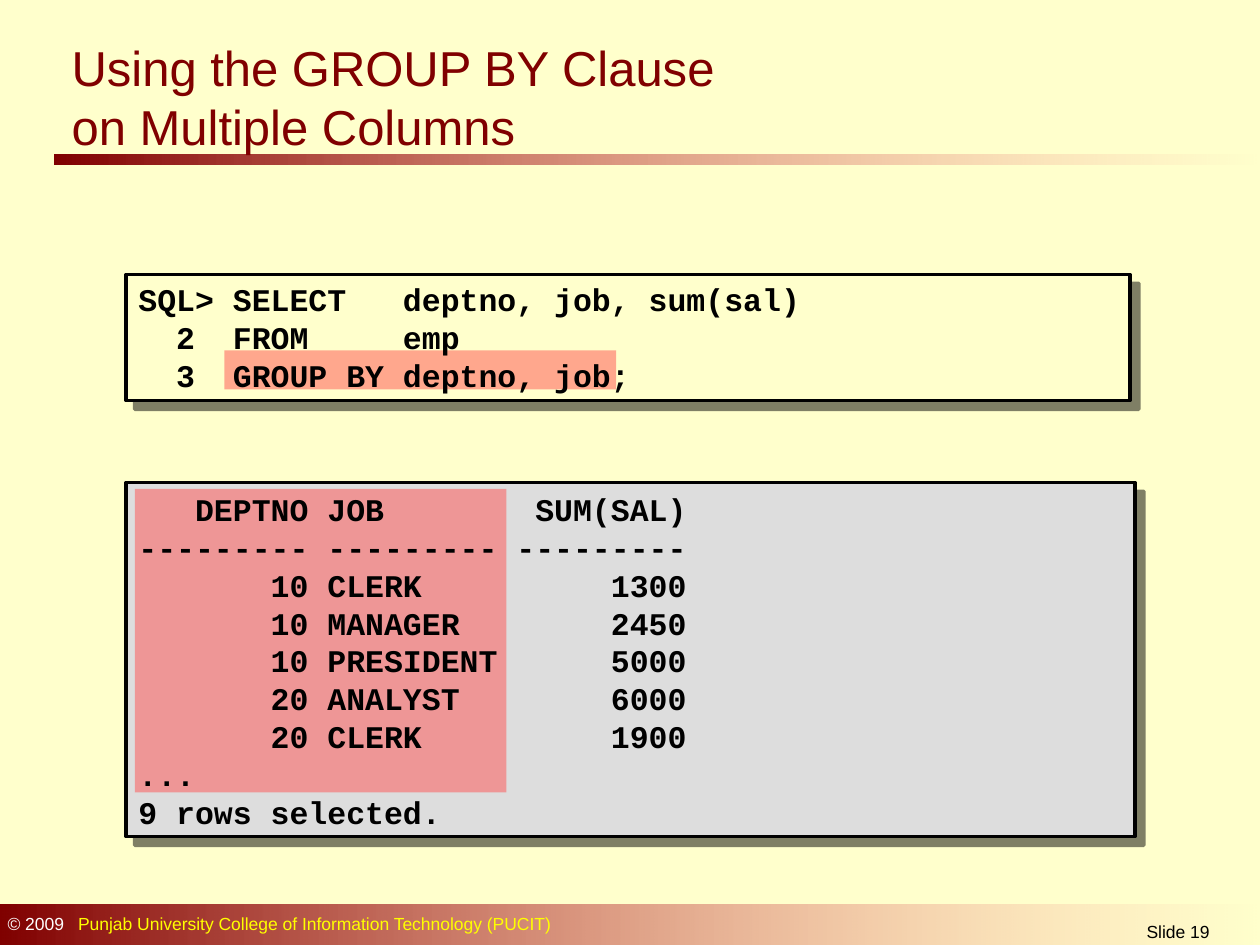
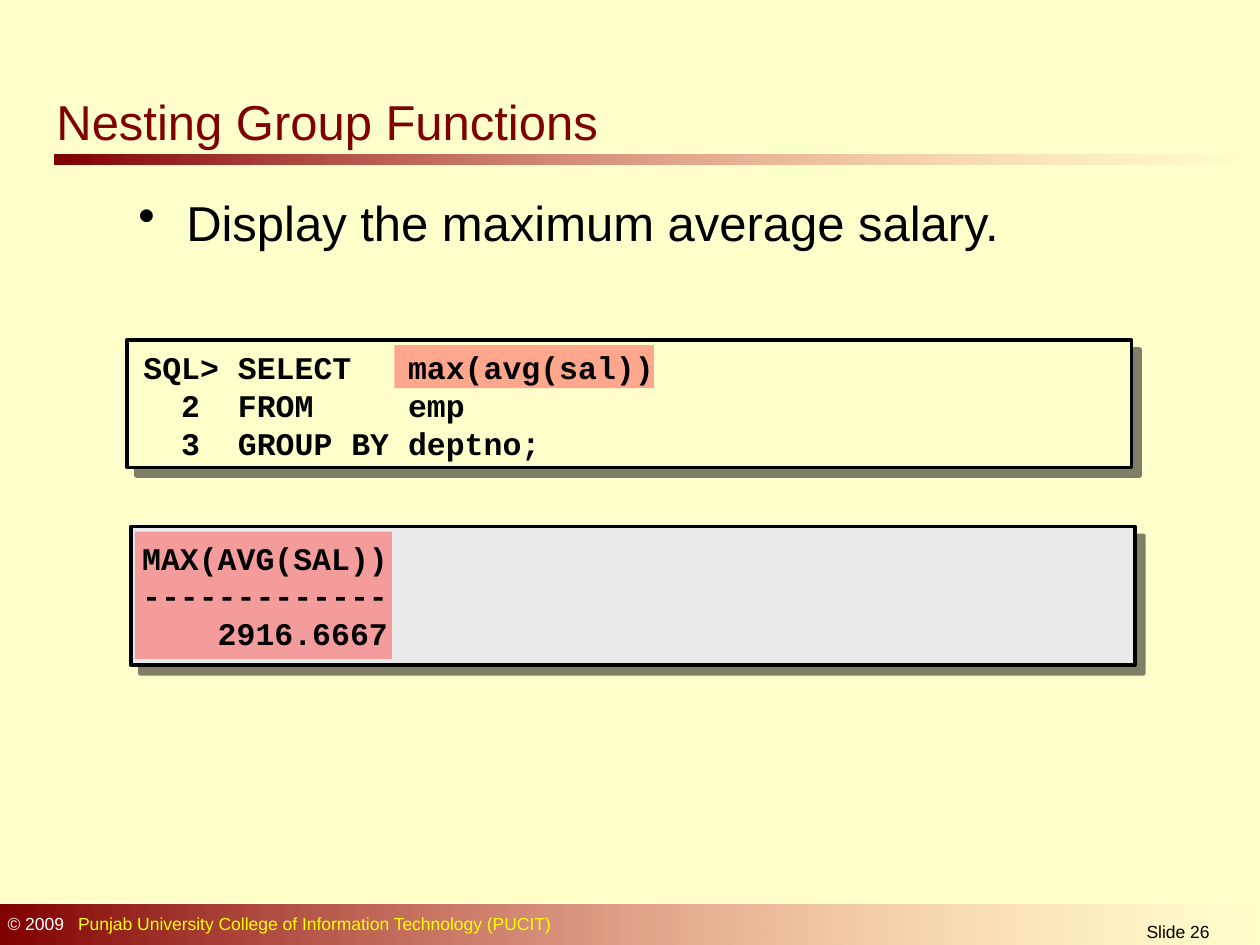
from dataclasses import dataclass
from typing import NamedTuple

from lxml.etree import SubElement as SubEl
from pptx import Presentation
from pptx.dml.color import RGBColor as RGB
from pptx.enum.shapes import MSO_SHAPE as SHAPE
from pptx.enum.text import MSO_ANCHOR as ANCHOR, PP_ALIGN as ALIGN
from pptx.oxml.ns import qn
from pptx.util import Inches, Pt

COLS, ROWS = 100, 75  # grid cells on a slide
CELL = Inches(0.1)


@dataclass(frozen=True)
class Theme:
    paper: str = "FFFFCC"
    maroon: str = "800000"
    fade: str = "FF8585"
    mark: str = "FF5050"
    ink: str = "000000"
    white: str = "FFFFFF"
    yellow: str = "FFFF00"
    sans: str = "Arial"
    mono: str = "Courier New"
    head_size: int = 28
    code_size: int = 18
    foot_size: int = 10


T = Theme()


class Box(NamedTuple):
    """Left, top, width and height in grid cells."""
    col: float
    row: float
    cols: float
    rows: float

    def emu(self) -> list[int]:
        return [round(n * CELL) for n in self]


@dataclass(frozen=True)
class Panel:
    """A framed code listing with one highlighted part."""
    frame: Box
    fill: str
    mark: Box
    text: Box
    code: str


@dataclass(frozen=True)
class Page:
    number: int
    title: str
    title_box: Box
    panels: tuple[Panel, ...]
    bullet: str = ""


# Shared places
RULE = Box(4.3, 12.3, COLS - 4.3, 0.8)
BAND = Box(0, 71.8, COLS, ROWS - 71.8)
CREDIT = Box(0, 72, 64.2, 2.7)
NUMBER = Box(87, 72.6, 13, 2.4)
BULLET = Box(10, 14.8, 84.2, 5.7)

PAGES = (
    Page(19, "Using the GROUP BY Clause\von Multiple Columns", Box(4.7, 2.5, 90.5, 13.3), (
        Panel(Box(10, 21.8, 79.7, 10), T.paper, Box(17.8, 27.8, 31.1, 3.1),
              Box(10, 21.6, 80, 10.3),
              """SQL> SELECT   deptno, job, sum(sal)
  2  FROM     emp
  3  GROUP BY deptno, job;"""),
        Panel(Box(10, 38.3, 80.1, 28.1), "DDDDDD", Box(10.7, 38.8, 29.5, 24.1),
              Box(10, 38.2, 80.4, 28.4),
              """   DEPTNO JOB        SUM(SAL)
--------- --------- ---------
       10 CLERK          1300
       10 MANAGER        2450
       10 PRESIDENT      5000
       20 ANALYST        6000
       20 CLERK          1900
...
9 rows selected."""),
    )),
    Page(26, "Nesting Group Functions", Box(3.5, 6.8, 46, 5.9), (
        Panel(Box(10.1, 27, 79.7, 10.1), T.paper, Box(31.3, 27.4, 20.6, 3.4),
              Box(10.4, 25.5, 80, 13.3),
              """SQL> SELECT   max(avg(sal))
  2  FROM     emp
  3  GROUP BY deptno;"""),
        Panel(Box(10.4, 41.8, 79.7, 11), "EAEAEA", Box(10.7, 42.2, 20.4, 10.1),
              Box(10.3, 40.6, 80, 13.3),
              """MAX(AVG(SAL))
-------------
    2916.6667"""),
    ), bullet="Display the maximum average salary."),
)


# Text
def write(p, text: str, *, size: int, color: str = T.ink,
          font: str = T.sans, bold: bool = False) -> None:
    for i, part in enumerate(text.split("\v")):
        if i:
            p.add_line_break()
        r = p.add_run()
        r.text = part
        r.font.size, r.font.name, r.font.bold = Pt(size), font, bold
        r.font.color.rgb = RGB.from_string(color)


def add_box(s, box: Box, *, wrap: bool = True, anchor=ANCHOR.TOP):
    tf = s.shapes.add_textbox(*box.emu()).text_frame
    tf.word_wrap, tf.vertical_anchor = wrap, anchor
    return tf


def add_bullet(s, text: str) -> None:
    p = add_box(s, BULLET).paragraphs[0]
    pPr = p._p.get_or_add_pPr()
    indent = Inches(0.38)
    pPr.set("marL", str(indent))
    pPr.set("indent", str(-indent))
    SubEl(pPr, qn("a:buChar"), char="•")
    write(p, text, size=T.head_size)


# Shapes
def add_rect(s, box: Box):
    sp = s.shapes.add_shape(SHAPE.RECTANGLE, *box.emu())
    sp.shadow.inherit = False
    sp.line.fill.background()
    return sp


def set_alpha(clr, percent: int) -> None:
    SubEl(clr, qn("a:alpha"), val=str(percent * 1000))


def add_fade(s, box: Box) -> None:
    fill = add_rect(s, box).fill
    fill.gradient()
    fill.gradient_angle = 0
    for stop, color, pos in zip(fill.gradient_stops, (T.maroon, T.fade), (0, 1)):
        stop.color.rgb = RGB.from_string(color)
        stop.position = pos
    set_alpha(fill._xPr.findall(".//" + qn("a:srgbClr"))[-1], 0)


def add_frame(s, box: Box, color: str) -> None:
    sp = add_rect(s, box)
    sp.fill.solid()
    sp.fill.fore_color.rgb = RGB.from_string(color)
    sp.line.color.rgb = RGB.from_string(T.ink)
    sp.line.width = Pt(2)
    effects = sp._element.spPr.find(qn("a:effectLst"))
    shadow = SubEl(effects, qn("a:outerShdw"), blurRad="0", dist=str(Pt(7.1)),
                   dir=str(45 * 60000), algn="ctr", rotWithShape="0")
    set_alpha(SubEl(shadow, qn("a:srgbClr"), val=T.ink), 50)


def add_mark(s, box: Box) -> None:
    sp = add_rect(s, box)
    sp.fill.solid()
    sp.fill.fore_color.rgb = RGB.from_string(T.mark)
    set_alpha(sp._element.spPr.find(".//" + qn("a:srgbClr")), 50)


def add_panel(s, panel: Panel) -> None:
    add_frame(s, panel.frame, panel.fill)
    add_mark(s, panel.mark)
    tf = add_box(s, panel.text, wrap=False, anchor=ANCHOR.MIDDLE)
    for i, line in enumerate(panel.code.split("\n")):
        p = tf.add_paragraph() if i else tf.paragraphs[0]
        p.alignment = ALIGN.LEFT
        write(p, line, size=T.code_size, font=T.mono, bold=True)


# Slides
def add_base(s, number: int) -> None:
    s.background.fill.solid()
    s.background.fill.fore_color.rgb = RGB.from_string(T.paper)
    for box in (RULE, BAND):
        add_fade(s, box)

    tf = add_box(s, CREDIT)
    tf.margin_left = Inches(0.06)
    p = tf.paragraphs[0]
    tabs = SubEl(p._p.get_or_add_pPr(), qn("a:tabLst"))
    SubEl(tabs, qn("a:tab"), pos=str(Inches(0.56)), algn="l")
    write(p, "© 2009", size=T.foot_size, color=T.white)
    write(p, "\tPunjab University College of Information Technology (PUCIT)",
          size=T.foot_size, color=T.yellow)

    p = add_box(s, NUMBER).paragraphs[0]
    p.alignment = ALIGN.CENTER
    write(p, f"Slide {number}", size=T.foot_size)


def add_page(prs, page: Page) -> None:
    s = prs.slides.add_slide(prs.slide_layouts[6])
    add_base(s, page.number)
    write(add_box(s, page.title_box).paragraphs[0], page.title,
          size=T.head_size, color=T.maroon)
    for panel in page.panels:
        add_panel(s, panel)
    if page.bullet:
        add_bullet(s, page.bullet)


def main() -> None:
    prs = Presentation()
    prs.slide_width, prs.slide_height = COLS * CELL, ROWS * CELL
    for page in PAGES:
        add_page(prs, page)
    prs.save("out.pptx")


if __name__ == "__main__":
    main()
